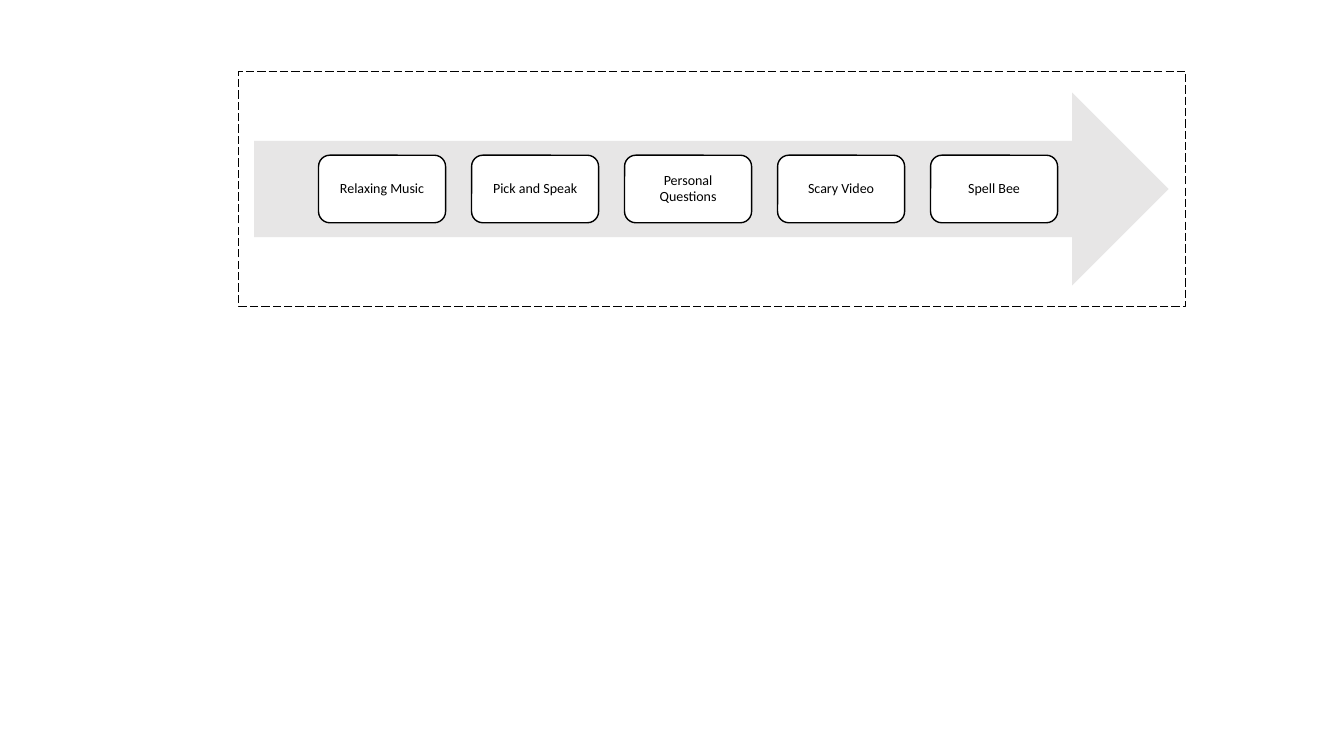
from dataclasses import dataclass

from pptx import Presentation
from pptx.dml.color import RGBColor
from pptx.enum.dml import MSO_LINE
from pptx.enum.shapes import MSO_SHAPE
from pptx.enum.text import MSO_ANCHOR, PP_ALIGN
from pptx.shapes.autoshape import Shape
from pptx.slide import Slide
from pptx.util import Inches, Pt

COLORS = {"arrow": "E7E6E6", "step": "FFFFFF", "ink": "000000"}
STEPS = ["Relaxing Music", "Pick and Speak", "Personal Questions", "Scary Video", "Spell Bee"]
FIRST_LEFT, LAST_LEFT = 3.16, 9.23


@dataclass
class Area:
    left: float
    top: float
    width: float
    height: float


def add_outlined_shape(page: Slide, kind: MSO_SHAPE, area: Area,
                       fill: str | None = None, line_width: float = 0) -> Shape:
    """Draw a flat shape; no fill colour or a zero line width leaves that part out."""
    shape = page.shapes.add_shape(kind, Inches(area.left), Inches(area.top),
                                  Inches(area.width), Inches(area.height))
    shape.shadow.inherit = False
    if fill:
        shape.fill.solid()
        shape.fill.fore_color.rgb = RGBColor.from_string(COLORS[fill])
    else:
        shape.fill.background()
    if line_width:
        shape.line.color.rgb = RGBColor.from_string(COLORS["ink"])
        shape.line.width = Pt(line_width)
    else:
        shape.line.fill.background()
    return shape


def add_step(page: Slide, text: str, area: Area) -> None:
    box = add_outlined_shape(page, MSO_SHAPE.ROUNDED_RECTANGLE, area, "step", 1)
    frame = box.text_frame
    frame.word_wrap = True
    frame.vertical_anchor = MSO_ANCHOR.MIDDLE
    frame.margin_left = frame.margin_right = Inches(0.1)
    frame.margin_top = frame.margin_bottom = Inches(0.1)
    para = frame.paragraphs[0]
    para.text = text
    para.alignment = PP_ALIGN.CENTER
    para.line_spacing = 0.9
    para.font.name = "Calibri"
    para.font.size = Pt(10)
    para.font.color.rgb = RGBColor.from_string(COLORS["ink"])


def main() -> None:
    deck = Presentation()
    deck.slide_width, deck.slide_height = Inches(13.33), Inches(7.5)
    page = deck.slides.add_slide(deck.slide_layouts[6])

    add_outlined_shape(page, MSO_SHAPE.RIGHT_ARROW, Area(2.52, 0.92, 9.07, 1.91), "arrow")
    pitch = (LAST_LEFT - FIRST_LEFT) / (len(STEPS) - 1)
    for index, text in enumerate(STEPS):
        add_step(page, text, Area(FIRST_LEFT + index * pitch, 1.54, 1.26, 0.67))
    border = add_outlined_shape(page, MSO_SHAPE.RECTANGLE, Area(2.37, 0.71, 9.39, 2.33),
                                line_width=0.75)
    border.line.dash_style = MSO_LINE.LONG_DASH

    deck.save("out.pptx")


if __name__ == "__main__":
    main()
